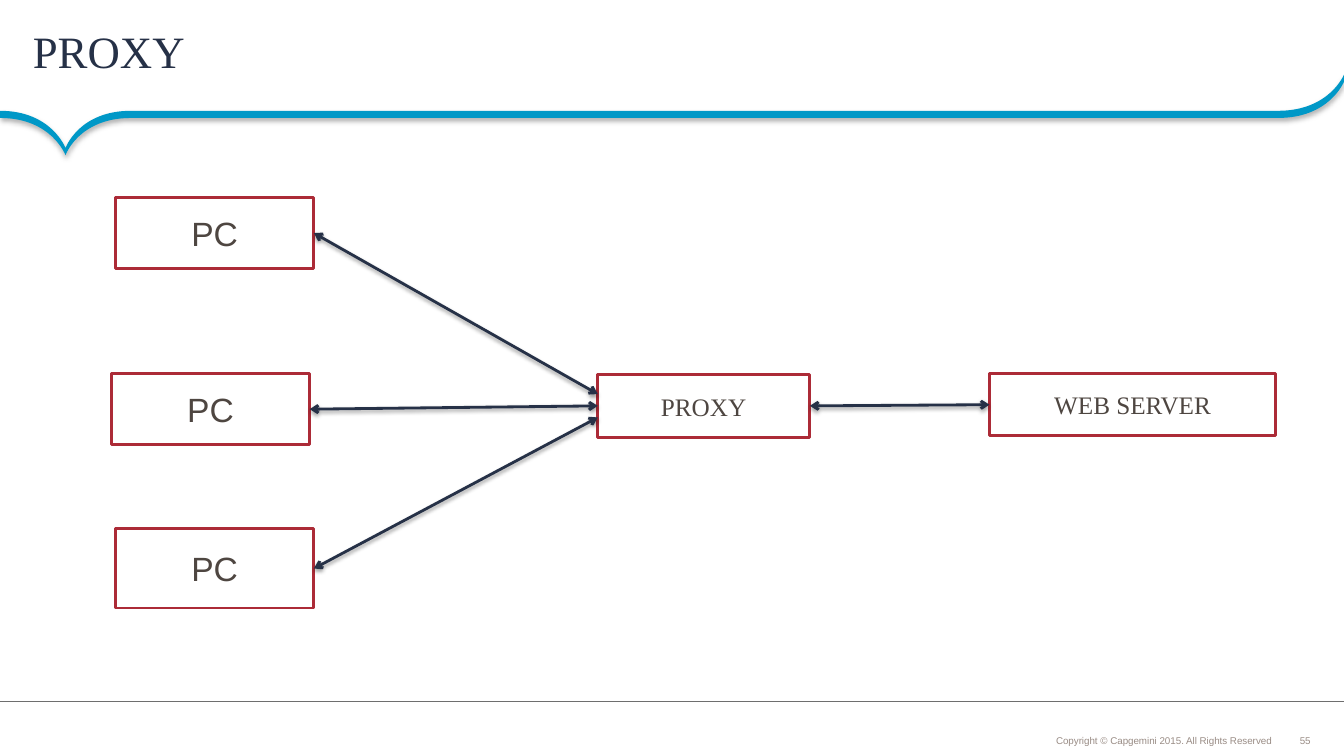
"""Build the proxy diagram slide: three PCs, a proxy and a web server."""
from lxml.etree import SubElement
from pptx import Presentation
from pptx.dml.color import RGBColor as RGB
from pptx.enum.shapes import MSO_CONNECTOR as LINE, MSO_SHAPE as SHAPE
from pptx.enum.text import MSO_ANCHOR as ANCHOR, PP_ALIGN as ALIGN
from pptx.oxml.ns import qn
from pptx.util import Pt

HUES = {"blue": "0098C7", "navy": "263147", "red": "AC2B37", "white": "FFFFFF",
        "text": "4E4641", "note": "998C85", "rule": "6E6E6E", "black": "000000"}
SERIF, SANS = "Times New Roman", "Arial"


def write(shape, text, size, face, hue, align, form):
    """Put one styled paragraph into a shape."""
    frame = shape.text_frame
    for key, value in form.items():
        setattr(frame, key, value)
    para = frame.paragraphs[0]
    para.alignment = align
    run = para.add_run()
    run.text = text
    for key, value in {"size": Pt(size), "name": face}.items():
        setattr(run.font, key, value)
    run.font.color.rgb = RGB.from_string(HUES[hue])
    return para


def shade(shape, alpha, blur, dist):
    """Give a shape a soft shadow straight below it."""
    props = shape._element.spPr
    for old in props.findall(qn("a:effectLst")):
        props.remove(old)
    effects = SubElement(props, qn("a:effectLst"))
    if alpha:
        outer = SubElement(effects, qn("a:outerShdw"), blurRad=str(Pt(blur)),
                           dist=str(Pt(dist)), dir="5400000", rotWithShape="0")
        color = SubElement(outer, qn("a:srgbClr"), val=HUES["black"])
        SubElement(color, qn("a:alpha"), val=str(alpha * 1000))


deck = Presentation()
deck.slide_width, deck.slide_height = Pt(960), Pt(540)
slide = deck.slides.add_slide(deck.slide_layouts[6])
shapes = slide.shapes

top, low, thick = 53.3, 79.2, 5.1
tip = (46.8, 105.8)
edge = [(0, low), (36.8, low), tip, tip, tip, (56.2, low), (93.6, low),
        (93.6, low), (913, low), (913, low), (949.7, low), (960, top), (960, top)]
under = [(x, y + thick) for x, y in reversed(edge)]
ring = edge + [edge[-1], under[0]] + under
knots = ring[::3]
pen = shapes.build_freeform(*map(Pt, knots[0]))
pen.add_line_segments([(Pt(x), Pt(y)) for x, y in knots[1:]], close=True)
band = pen.convert_to_shape()
for index, step in enumerate(list(band._element.iter(qn("a:lnTo")))):
    step.tag = qn("a:cubicBezTo")
    for spot, (x, y) in enumerate(ring[3 * index + 1:3 * index + 3]):
        point = SubElement(step, qn("a:pt"), x=str(Pt(x)), y=str(Pt(y - top)))
        step.insert(spot, point)
band.fill.solid()
band.fill.fore_color.rgb = RGB.from_string(HUES["blue"])
band.line.fill.background()
shade(band, 31, 4, 2)

labels = [
    ("55", (928, 524.9, 8.6, 8.6), 7, SANS, "note", ALIGN.CENTER, ANCHOR.MIDDLE,
     (0, 0, 0, 0), False, 1),
    ("Copyright © Capgemini 2015. All Rights Reserved", (653.4, 521.7, 257.8, 14.4), 7,
     SANS, "note", ALIGN.RIGHT, ANCHOR.BOTTOM, (2.9, 2.9, 2.9, 2.9), True, 0.9),
    ("PROXY", (0, 0, 960, 78.5), 32, SERIF, "navy", ALIGN.LEFT, ANCHOR.MIDDLE,
     (23.4, 2.9, 13, 2.9), True, 0.85),
]
for text, spot, size, face, hue, align, anchor, gaps, wrap, lead in labels:
    box = shapes.add_textbox(*map(Pt, spot))
    form = {"word_wrap": wrap, "vertical_anchor": anchor}
    for side, gap in zip(("left", "top", "right", "bottom"), gaps):
        form["margin_" + side] = Pt(gap)
    write(box, text, size, face, hue, align, form).line_spacing = lead

nodes = [
    ("PROXY", (426.8, 267.6, 151.6, 44.7), 18, SERIF),
    ("WEB SERVER", (706.8, 266.8, 204.4, 44.6), 18, SERIF),
    ("PC", (82.5, 141, 141.7, 51), 24, SANS),
    ("PC", (79.5, 266.8, 141.7, 51), 24, SANS),
    ("PC", (82.5, 377.6, 141.7, 56.7), 24, SANS),
]
for text, spot, size, face in nodes:
    node = shapes.add_shape(SHAPE.RECTANGLE, *map(Pt, spot))
    node.shadow.inherit = False
    node.fill.solid()
    node.fill.fore_color.rgb = RGB.from_string(HUES["white"])
    node.line.color.rgb = RGB.from_string(HUES["red"])
    node.line.width = Pt(2)
    write(node, text, size, face, "text", ALIGN.CENTER,
          {"word_wrap": True, "vertical_anchor": ANCHOR.MIDDLE})

links = [
    ((960, 501), (0, 501), "rule", 0.75),
    ((224.2, 166.5), (427, 281.5), "navy", 2),
    ((221.2, 292.3), (427, 289.9), "navy", 2),
    ((224.2, 406.1), (427, 298.2), "navy", 2),
    ((578.5, 289.9), (706.8, 289.1), "navy", 2),
]
for start, end, hue, width in links:
    link = shapes.add_connector(LINE.STRAIGHT, *map(Pt, start + end))
    link.line.color.rgb = RGB.from_string(HUES[hue])
    link.line.width = Pt(width)
    arrow = hue == "navy"
    if arrow:
        for tag in ("a:headEnd", "a:tailEnd"):
            SubElement(link.line._ln, qn(tag), type="arrow")
    shade(link, 38 if arrow else 0, 3.1, 1.6)

deck.save("out.pptx")
